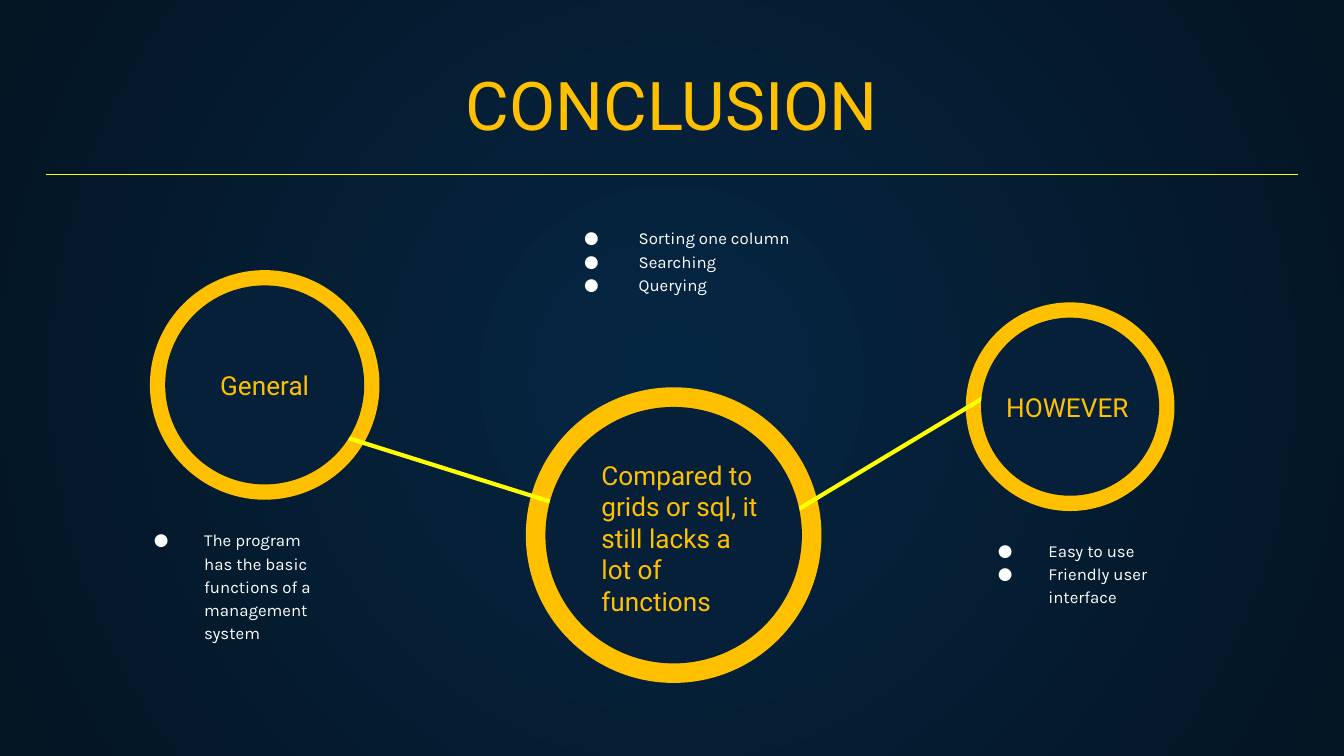
from pptx import Presentation
from pptx.dml.color import RGBColor as RGB
from pptx.enum.shapes import MSO_CONNECTOR as CONN, MSO_SHAPE as SHAPE
from pptx.enum.text import MSO_ANCHOR as ANCHOR, MSO_AUTO_SIZE as FIT, PP_ALIGN as ALIGN
from pptx.oxml.ns import qn
from pptx.util import Pt
from lxml.etree import SubElement

COLORS = {"gold": "FFC000", "yellow": "FFFF00", "navy": "052038",
          "white": "FFFFFF", "center": "052643", "edge": "041523"}
TITLE = {"name": "Roboto", "size": Pt(36), "bold": False}
LABEL = {"name": "Roboto", "size": Pt(14), "bold": False}
BODY = {"name": "Karla", "size": Pt(9), "bold": False}
RINGS = [(141.8, 206.2, 61.5, 53.3), (360.9, 286.7, 79.2, 68.7), (573.3, 217.9, 55.9, 47.7)]
LINKS = [(184.3, 234, 310.3, 273.6, 2.25), (395.3, 292.3, 536.4, 207.4, 2.25),
         (24.5, 93.6, 695.5, 93.6, 0.75)]
LISTS = [(2, (66.2, 275.2, 109.4, 39.6),
          ["The program has the basic functions of a management system"]),
         (1, (296.8, 113.4, 154, 39.6),
          [" Sorting one column", " Searching", " Querying"]),
         (4, (518.4, 280.6, 109.4, 39.6), ["Easy to use", "Friendly user interface"])]
LABELS = [((315.1, 242.6, 101, 108.7),
           "Compared to grids or sql, it still lacks a lot of functions"),
          ((531.9, 206.2, 101, 41), "HOWEVER")]


def rgb(name):
    """Return the named colour."""
    return RGB.from_string(COLORS[name])


def set_attrs(obj, values):
    """Set every attribute in the dict on the object."""
    for key, value in values.items():
        setattr(obj, key, value)


def place(sp, box):
    """Move and size a shape in points."""
    set_attrs(sp, dict(zip(("left", "top", "width", "height"), map(Pt, box))))


def write(sp, lines, font, color, inset=(7.2, 7.2), anchor=ANCHOR.TOP, align=ALIGN.LEFT):
    """Write formatted paragraphs into a shape and return them."""
    tf = sp.text_frame
    x, y = map(Pt, inset)
    set_attrs(tf, {"word_wrap": True, "auto_size": FIT.NONE, "vertical_anchor": anchor,
                   "margin_left": x, "margin_right": x, "margin_top": y, "margin_bottom": y})
    for i, line in enumerate(lines):
        p = tf.add_paragraph() if i else tf.paragraphs[0]
        set_attrs(p, {"alignment": align, "space_before": Pt(0)})
        r = p.add_run()
        r.text = line
        set_attrs(r.font, font)
        r.font.color.rgb = rgb(color)
    return tf.paragraphs


def add_background(s):
    """Fill the slide with a radial gradient."""
    fill = s.background.fill
    fill.gradient()
    for stop, name in zip(fill.gradient_stops, ("center", "edge")):
        stop.color.rgb = rgb(name)
    grad = s.element.find(".//" + qn("a:gradFill"))
    lin = grad.find(qn("a:lin"))
    radial = SubElement(grad, qn("a:path"), path="circle")
    SubElement(radial, qn("a:fillToRect"), dict.fromkeys("ltrb", "50000"))
    grad.replace(lin, radial)


def add_disc(s, cx, cy, radius, color):
    """Add a plain filled circle around a centre."""
    box = (cx - radius, cy - radius, 2 * radius, 2 * radius)
    sp = s.shapes.add_shape(SHAPE.OVAL, *map(Pt, box))
    sp.shadow.inherit = False
    sp.fill.solid()
    sp.fill.fore_color.rgb = rgb(color)
    sp.line.fill.background()
    return sp


def add_line(s, x1, y1, x2, y2, width):
    """Add a straight yellow line."""
    line = s.shapes.add_connector(CONN.STRAIGHT, *map(Pt, (x1, y1, x2, y2)))
    line.line.color.rgb = rgb("yellow")
    line.line.width = Pt(width)
    SubElement(line.element.spPr, qn("a:effectLst"))


def fill_list(sp, box, items):
    """Turn a placeholder into a bulleted list."""
    place(sp, box)
    for p in write(sp, items, BODY, "white"):
        p.line_spacing = 1.15
        pPr = p._p.get_or_add_pPr()
        pPr.set("marL", str(Pt(36)))
        pPr.set("indent", str(-Pt(27)))
        SubElement(SubElement(pPr, qn("a:buClr")), qn("a:srgbClr"), val=COLORS["white"])
        SubElement(pPr, qn("a:buFont"), typeface="Roboto")
        SubElement(pPr, qn("a:buChar"), char="●")


def main():
    """Build the conclusion slide."""
    prs = Presentation()
    set_attrs(prs, {"slide_width": Pt(720), "slide_height": Pt(405)})
    s = prs.slides.add_slide(prs.slide_layouts.get_by_name("Comparison"))
    add_background(s)
    holders = {ph.placeholder_format.idx: ph for ph in s.placeholders}
    place(holders[0], (24.5, 36.7, 671, 47.5))
    write(holders[0], ["CONCLUSION"], TITLE, "gold", anchor=ANCHOR.BOTTOM, align=ALIGN.CENTER)
    for idx, box, items in LISTS:
        fill_list(holders[idx], box, items)
    holders[3].element.getparent().remove(holders[3].element)
    for cx, cy, outer, _ in RINGS:
        add_disc(s, cx, cy, outer, "gold")
    for link in LINKS:
        add_line(s, *link)
    general, *_ = [add_disc(s, cx, cy, inner, "navy") for cx, cy, _, inner in RINGS]
    write(general, ["General"], LABEL, "gold", anchor=ANCHOR.MIDDLE, align=ALIGN.CENTER)
    for box, text in LABELS:
        write(s.shapes.add_textbox(*map(Pt, box)), [text], LABEL, "gold", (7.2, 3.6))
    prs.save("out.pptx")


if __name__ == "__main__":
    main()
